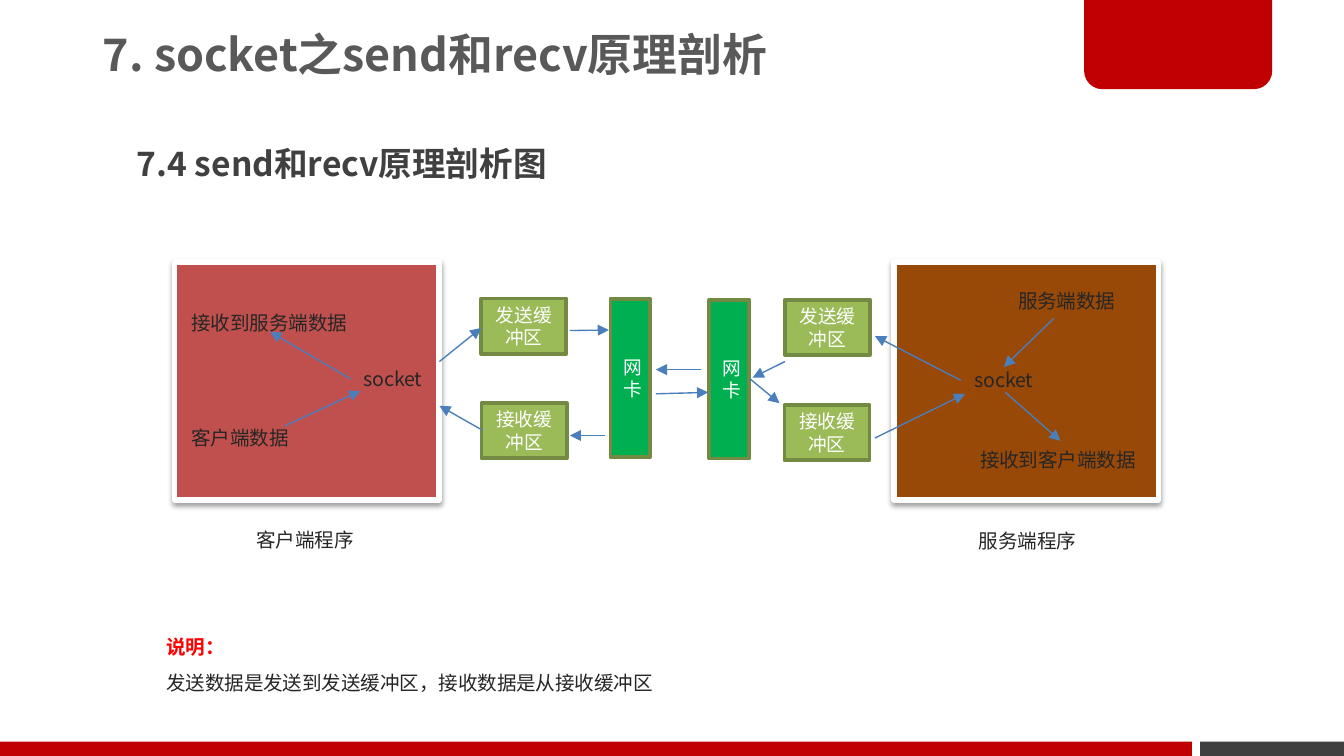
from dataclasses import dataclass

from lxml import etree
from pptx import Presentation
from pptx import util as u
from pptx.dml.color import RGBColor
from pptx.enum import shapes, text
from pptx.oxml import ns


@dataclass(frozen=True)
class Theme:
    font: str = "Noto Sans CJK SC"
    box_font: str = "Calibri"
    title_size: float = 24
    heading_size: float = 18
    body_size: float = 10.5
    box_size: float = 10
    title: str = "595959"
    dark: str = "404040"
    ink: str = "262626"
    white: str = "FFFFFF"
    accent: str = "C00000"
    alert: str = "FF0000"
    client: str = "C0504D"
    server: str = "984807"
    buffer: str = "9BBB59"
    card: str = "00B050"
    box_line: str = "738A42"
    arrow: str = "4B7EBC"


@dataclass(frozen=True)
class Block:
    left: float
    top: float
    width: float
    height: float
    fill: str
    label: str = ""
    line: str = ""
    line_width: float = 2


@dataclass(frozen=True)
class Label:
    left: float
    top: float
    width: float
    words: str


@dataclass(frozen=True)
class Arrow:
    x1: float
    y1: float
    x2: float
    y2: float


THEME = Theme()
LABEL_HEIGHT = 20
PROGRAM_TOP, PROGRAM_WIDTH, PROGRAM_HEIGHT = 140.4, 141.8, 127.4


def buffer(left: float, top: float, label: str) -> Block:
    return Block(left, top, 45.6, 29.6, THEME.buffer, label, THEME.box_line)


def card(left: float, top: float) -> Block:
    return Block(left, top, 21.4, 85, THEME.card, "网卡", THEME.box_line)


def program(left: float, fill: str) -> Block:
    return Block(left, PROGRAM_TOP, PROGRAM_WIDTH, PROGRAM_HEIGHT, fill,
                 line=THEME.white, line_width=3)


BANDS = [
    Block(642.9, 397.4, 77.1, 7.6, THEME.dark),
    Block(0, 397.4, 638.5, 7.6, THEME.accent),
]
PROGRAMS = [program(93.6, THEME.client), program(478.8, THEME.server)]
NODES = [
    buffer(257.8, 160, "发送缓冲区"), buffer(258, 216, "接收缓冲区"),
    buffer(420.4, 160.6, "发送缓冲区"), buffer(420.2, 217, "接收缓冲区"),
    card(327, 160), card(380, 160.6),
]
LABELS = [
    Label(130.3, 279.2, 68, "客户端程序"),
    Label(517.3, 279.6, 68, "服务端程序"),
    Label(95.5, 163.2, 102, "接收到服务端数据"),
    Label(95.5, 224.8, 68, "客户端数据"),
    Label(187.5, 193.2, 48, "socket"),
    Label(538.3, 151.4, 73, "服务端数据"),
    Label(514.8, 193.8, 48, "socket"),
    Label(518, 236.2, 100, "接收到客户端数据"),
]
ARROWS = [
    # client program
    Arrow(152.6, 228.2, 193, 209.5), Arrow(187.9, 203, 144.7, 177.8),
    # client buffers and network card
    Arrow(235.4, 193.7, 257.8, 175.7), Arrow(258.3, 230.4, 235.4, 217.4),
    Arrow(305.3, 177.1, 326.2, 176.8), Arrow(324, 233.3, 305.3, 233.3),
    # between the network cards
    Arrow(351.4, 211, 379.4, 210.2), Arrow(375.8, 198, 351.4, 198),
    # server network card and buffers
    Arrow(401.8, 203, 417.6, 216), Arrow(420.5, 193.7, 403.2, 202.3),
    # server program
    Arrow(468.7, 234.7, 517, 211), Arrow(514.8, 203.8, 468.7, 180),
    Arrow(564.5, 170.6, 537.8, 196.6), Arrow(538.6, 210.2, 568.1, 236.2),
]


def style(para, size: float, color: str, bold: bool = False,
          font: str = THEME.font) -> None:
    for span in para.runs:
        span.font.name, span.font.size, span.font.bold = font, u.Pt(size), bold
        span.font.color.rgb = RGBColor.from_string(color)
        east_asian = etree.SubElement(span.font._element, ns.qn("a:ea"))
        east_asian.set("typeface", THEME.font)


def add_shadow(shape) -> None:
    """Give the shape a soft shadow straight below it."""
    effects = shape._element.spPr.find(ns.qn("a:effectLst"))
    shadow = etree.SubElement(
        effects, ns.qn("a:outerShdw"), blurRad=str(u.Pt(3.1)),
        dist=str(u.Pt(1.6)), dir="5400000", rotWithShape="0")
    color = etree.SubElement(shadow, ns.qn("a:srgbClr"), val="000000")
    etree.SubElement(color, ns.qn("a:alpha"), val="38000")


def add_block(page, block: Block, kind=shapes.MSO_SHAPE.RECTANGLE):
    shape = page.shapes.add_shape(kind, u.Pt(block.left), u.Pt(block.top),
                                  u.Pt(block.width), u.Pt(block.height))
    shape.shadow.inherit = False
    shape.fill.solid()
    shape.fill.fore_color.rgb = RGBColor.from_string(block.fill)
    if block.line:
        shape.line.color.rgb = RGBColor.from_string(block.line)
        shape.line.width = u.Pt(block.line_width)
    else:
        shape.line.fill.background()
    if block.label:
        shape.text_frame.text = block.label
        para = shape.text_frame.paragraphs[0]
        para.alignment = text.PP_ALIGN.CENTER
        style(para, THEME.box_size, THEME.white, font=THEME.box_font)
    return shape


def add_text(page, left: float, top: float, width: float, height: float,
             words: str):
    box = page.shapes.add_textbox(u.Pt(left), u.Pt(top), u.Pt(width), u.Pt(height))
    box.text_frame.word_wrap = True
    box.text_frame.auto_size = text.MSO_AUTO_SIZE.SHAPE_TO_FIT_TEXT
    box.text_frame.text = words
    return box.text_frame.paragraphs


def add_label(page, label: Label) -> None:
    paras = add_text(page, label.left, label.top, label.width, LABEL_HEIGHT, label.words)
    style(paras[0], THEME.body_size, THEME.ink)


def add_arrow(page, arrow: Arrow) -> None:
    line = page.shapes.add_connector(
        shapes.MSO_CONNECTOR.STRAIGHT, u.Pt(arrow.x1), u.Pt(arrow.y1),
        u.Pt(arrow.x2), u.Pt(arrow.y2))
    line.line.color.rgb = RGBColor.from_string(THEME.arrow)
    line.line.width = u.Pt(0.75)
    properties = line._element.spPr
    etree.SubElement(properties.find(ns.qn("a:ln")), ns.qn("a:tailEnd"), type="triangle")
    etree.SubElement(properties, ns.qn("a:effectLst"))


def set_title(page, words: str) -> None:
    title = page.shapes.title
    title.left, title.top = u.Pt(49.7), u.Pt(-1.4)
    title.width, title.height = u.Pt(424), u.Pt(64)
    frame = title.text_frame
    frame.text = words
    frame.word_wrap = True
    frame.auto_size = text.MSO_AUTO_SIZE.NONE
    frame.vertical_anchor = text.MSO_ANCHOR.MIDDLE
    frame.margin_left = frame.margin_right = u.Pt(5.4)
    frame.margin_top = frame.margin_bottom = u.Pt(2.7)
    para = frame.paragraphs[0]
    para.alignment = text.PP_ALIGN.LEFT
    para.line_spacing = 0.9
    style(para, THEME.title_size, THEME.title, bold=True)


def main() -> None:
    deck = Presentation()
    deck.slide_width, deck.slide_height = u.Pt(720), u.Pt(405)
    page = deck.slides.add_slide(deck.slide_layouts[5])

    for band in BANDS:
        add_block(page, band)
    tab = add_block(page, Block(580.8, -1.4, 100.8, 49.2, THEME.accent),
                    shapes.MSO_SHAPE.ROUND_2_SAME_RECTANGLE)
    tab.adjustments[0], tab.adjustments[1] = 0, 0.2

    set_title(page, "7. socket之send和recv原理剖析")
    heading = add_text(page, 66.2, 62, 407, 40, "7.4 send和recv原理剖析图")[0]
    heading.line_spacing = 1.5
    style(heading, THEME.heading_size, THEME.dark, bold=True)

    for block in PROGRAMS:
        add_shadow(add_block(page, block))
    for block in NODES:
        add_block(page, block)
    for label in LABELS:
        add_label(page, label)
    for arrow in ARROWS:
        add_arrow(page, arrow)

    notes = add_text(page, 82, 330.5, 617, 45,
                     "说明：\n发送数据是发送到发送缓冲区，接收数据是从接收缓冲区")
    for para, color, bold in zip(notes, (THEME.alert, THEME.ink), (True, False)):
        para.line_spacing = 1.5
        style(para, THEME.body_size, color, bold)

    deck.save("out.pptx")


if __name__ == "__main__":
    main()
